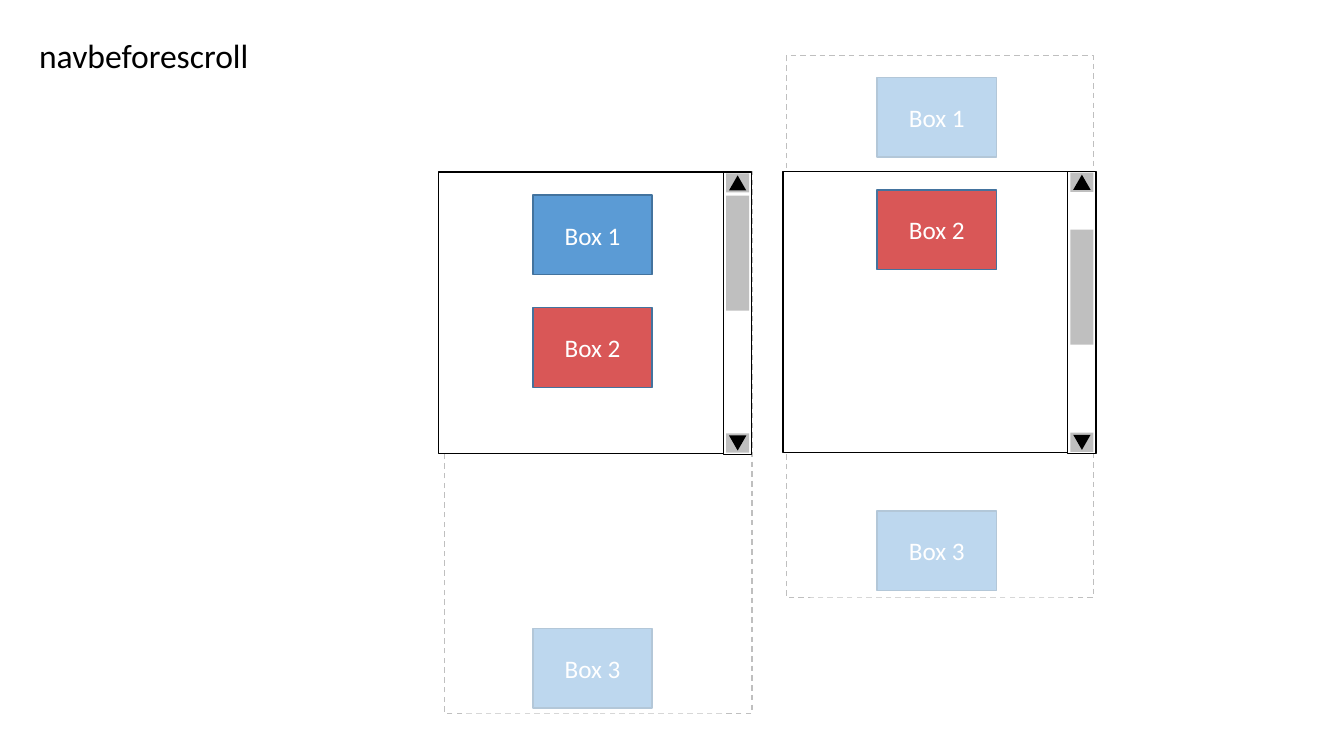
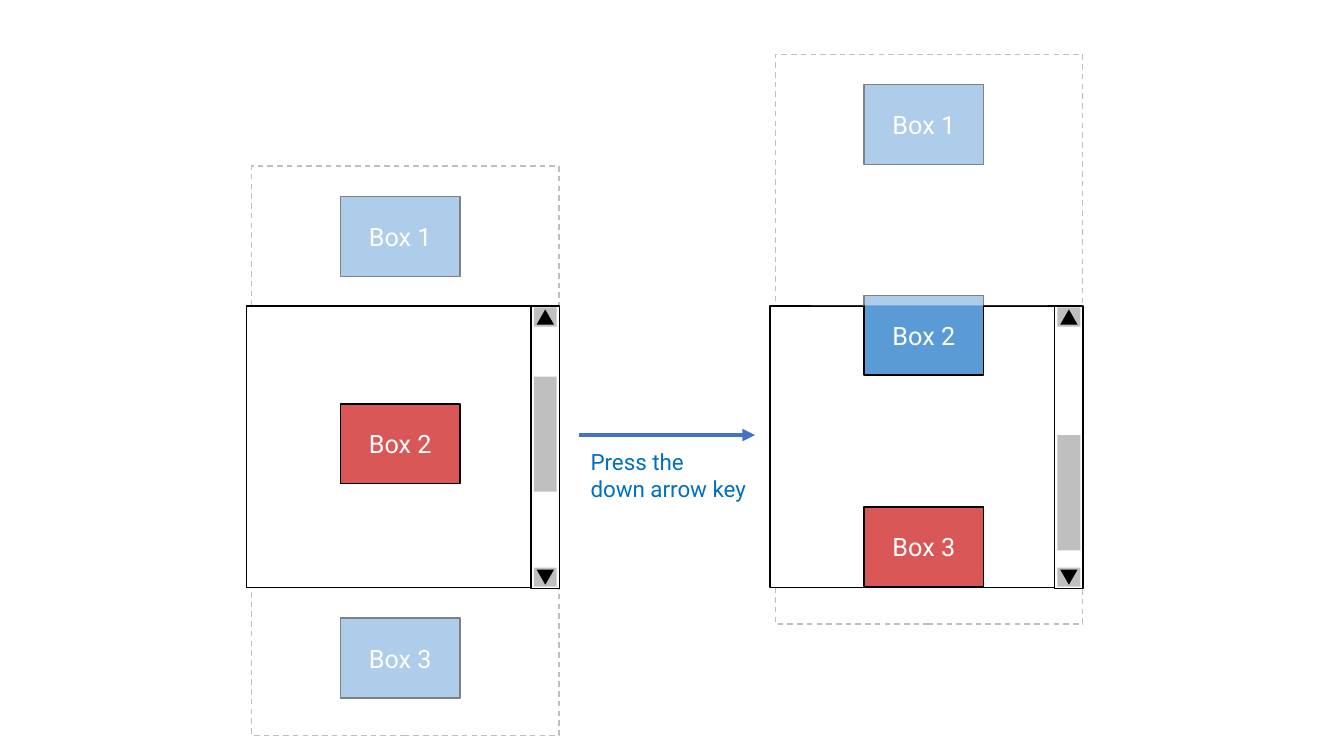
from pptx import Presentation
from pptx.dml.color import RGBColor
from pptx.enum.dml import MSO_LINE
from pptx.enum.shapes import MSO_CONNECTOR, MSO_SHAPE
from pptx.enum.text import MSO_ANCHOR, PP_ALIGN
from pptx.oxml.ns import qn
from pptx.util import Pt
from lxml import etree

RECT, TRIANGLE = MSO_SHAPE.RECTANGLE, MSO_SHAPE.ISOSCELES_TRIANGLE
DASH = MSO_LINE.DASH
STRAIGHT = MSO_CONNECTOR.STRAIGHT
MIDDLE, CENTER = MSO_ANCHOR.MIDDLE, PP_ALIGN.CENTER

WHITE, BLACK, GREY = "FFFFFF", "000000", "BFBFBF"
BLUE, RED, EDGE = "5B9BD5", "D95757", "43739E"
ARROW, CAPTION = "4472C4", "0070C0"

PAGE_W, PAGE_H = 221, 200.9      # visible viewport
CONTENT_W = 219.6                # dashed scrollable area
BOX_W, BOX_H, BOX_DX = 85.2, 57, 67.3
BAR_W, BAR_H, BAR_DX = 20.2, 201.6, 203.4
PART_W, BUTTON_H, THUMB_H = 16.4, 13.7, 82.2
TRI_W, TRI_H = 12.4, 10.8

# view: left, top; content: left, top, height; thumb: distance below the bar's top
# boxes: text, top, fill; veils: left, top, width, height
SLIDES = [
    {
        "font": "Calibri", "edge": EDGE, "opacity": 60,
        "panels": [
            {"view": (559.3, 122.4), "content": (561.6, 39.8, 387.2), "thumb": 41.6,
             "boxes": [("Box 1", 55.3, BLUE), ("Box 3", 365, BLUE), ("Box 2", 135.6, RED)],
             "veils": [(601.2, 45.4, 134.6, 70.6), (578.9, 339.8, 185, 87.1)]},
            {"view": (313.4, 122.9), "content": (317.5, 122.6, 387.2), "thumb": 16.8,
             "boxes": [("Box 1", 139.3, BLUE), ("Box 3", 448.8, BLUE), ("Box 2", 219.6, RED)],
             "veils": [(331.2, 422.6, 185, 87.1)]},
        ],
        "texts": [((20.9, 21.6, 165.6, 36), ["navbeforescroll"], 24, BLACK)],
        "arrows": [],
    },
    {
        "font": "Roboto", "edge": BLACK, "opacity": 50,
        "panels": [
            {"view": (176, 218.7), "content": (179.8, 118.6, 406.8), "thumb": 50.4,
             "boxes": [("Box 1", 140.4, BLUE), ("Box 3", 441.5, BLUE), ("Box 2", 288.5, RED)],
             "veils": [(200.9, 437.8, 169.9, 64.8), (200.9, 136.1, 169.9, 64.8)]},
            {"view": (550, 218.7), "content": (553.8, 38.9, 406.8), "thumb": 92.2,
             "boxes": [("Box 1", 60.5, BLUE), ("Box 3", 362, RED), ("Box 2", 211, BLUE)],
             "veils": [(578.9, 51.8, 169.9, 166.4)]},
        ],
        "texts": [((414.7, 316.8, 128.9, 46.1), ["Press the", "down arrow key"], 16, CAPTION)],
        "arrows": [(413.9, 310.8, 539.3, 310.8)],
    },
]


def rgb(color):
    return RGBColor.from_string(color)


def add_block(s, x, y, w, h, fill, edge=None, kind=RECT):
    sp = s.shapes.add_shape(kind, Pt(x), Pt(y), Pt(w), Pt(h))
    sp.shadow.inherit = False
    sp.fill.solid()
    sp.fill.fore_color.rgb = rgb(fill)
    if edge:
        sp.line.color.rgb = rgb(edge)
        sp.line.width = Pt(1)
    else:
        sp.line.fill.background()
    return sp


def write(tf, lines, size, color, font, align=None):
    for i, line in enumerate(lines):
        p = tf.paragraphs[0] if i == 0 else tf.add_paragraph()
        p.text = line
        p.alignment = align
        p.font.size = Pt(size)
        p.font.name = font
        p.font.color.rgb = rgb(color)


def add_box(s, x, y, text, fill, edge, font):
    sp = add_block(s, x, y, BOX_W, BOX_H, fill, edge)
    sp.text_frame.vertical_anchor = MIDDLE
    write(sp.text_frame, [text], 18, WHITE, font, CENTER)


def add_veil(s, frame, opacity):
    """Fade what lies underneath with translucent white."""
    sp = add_block(s, *frame, WHITE)
    color = sp.fill._xPr.find(qn("a:solidFill"))[0]
    etree.SubElement(color, qn("a:alpha"), val=str(opacity * 1000))


def add_scrollbar(s, x, y, thumb):
    add_block(s, x, y, BAR_W, BAR_H, WHITE, BLACK)
    part_x = x + (BAR_W - PART_W) / 2
    add_block(s, part_x, y + thumb, PART_W, THUMB_H, GREY)
    for button_y, turn in ((y + 0.9, 0), (y + BAR_H - BUTTON_H - 1.2, 180)):
        add_block(s, part_x, button_y, PART_W, BUTTON_H, GREY)
        tri = add_block(s, x + (BAR_W - TRI_W) / 2, button_y + (BUTTON_H - TRI_H) / 2,
                        TRI_W, TRI_H, BLACK, kind=TRIANGLE)
        tri.rotation = turn


def add_panel(s, panel, font, edge, opacity):
    x, y = panel["view"]
    left, top, height = panel["content"]
    content = add_block(s, left, top, CONTENT_W, height, WHITE, GREY)
    content.line.dash_style = DASH
    add_block(s, x, y, PAGE_W, PAGE_H, WHITE, BLACK)
    for text, box_y, fill in panel["boxes"]:
        add_box(s, x + BOX_DX, box_y, text, fill, edge, font)
    add_scrollbar(s, x + BAR_DX, y, panel["thumb"])
    for frame in panel["veils"]:
        add_veil(s, frame, opacity)


def add_arrow(s, *ends):
    line = s.shapes.add_connector(STRAIGHT, *map(Pt, ends))
    line.line.color.rgb = rgb(ARROW)
    line.line.width = Pt(3)
    etree.SubElement(line.line._get_or_add_ln(), qn("a:tailEnd"), type="triangle")
    etree.SubElement(line._element.spPr, qn("a:effectLst"))


def add_text(s, frame, lines, size, color, font):
    tf = s.shapes.add_textbox(*map(Pt, frame)).text_frame
    tf.word_wrap = False
    write(tf, lines, size, color, font)


def main():
    prs = Presentation()
    prs.slide_width, prs.slide_height = Pt(960), Pt(540)
    for data in SLIDES:
        s = prs.slides.add_slide(prs.slide_layouts[6])
        for panel in data["panels"]:
            add_panel(s, panel, data["font"], data["edge"], data["opacity"])
        for ends in data["arrows"]:
            add_arrow(s, *ends)
        for text in data["texts"]:
            add_text(s, *text, data["font"])
    prs.save("out.pptx")


if __name__ == "__main__":
    main()
